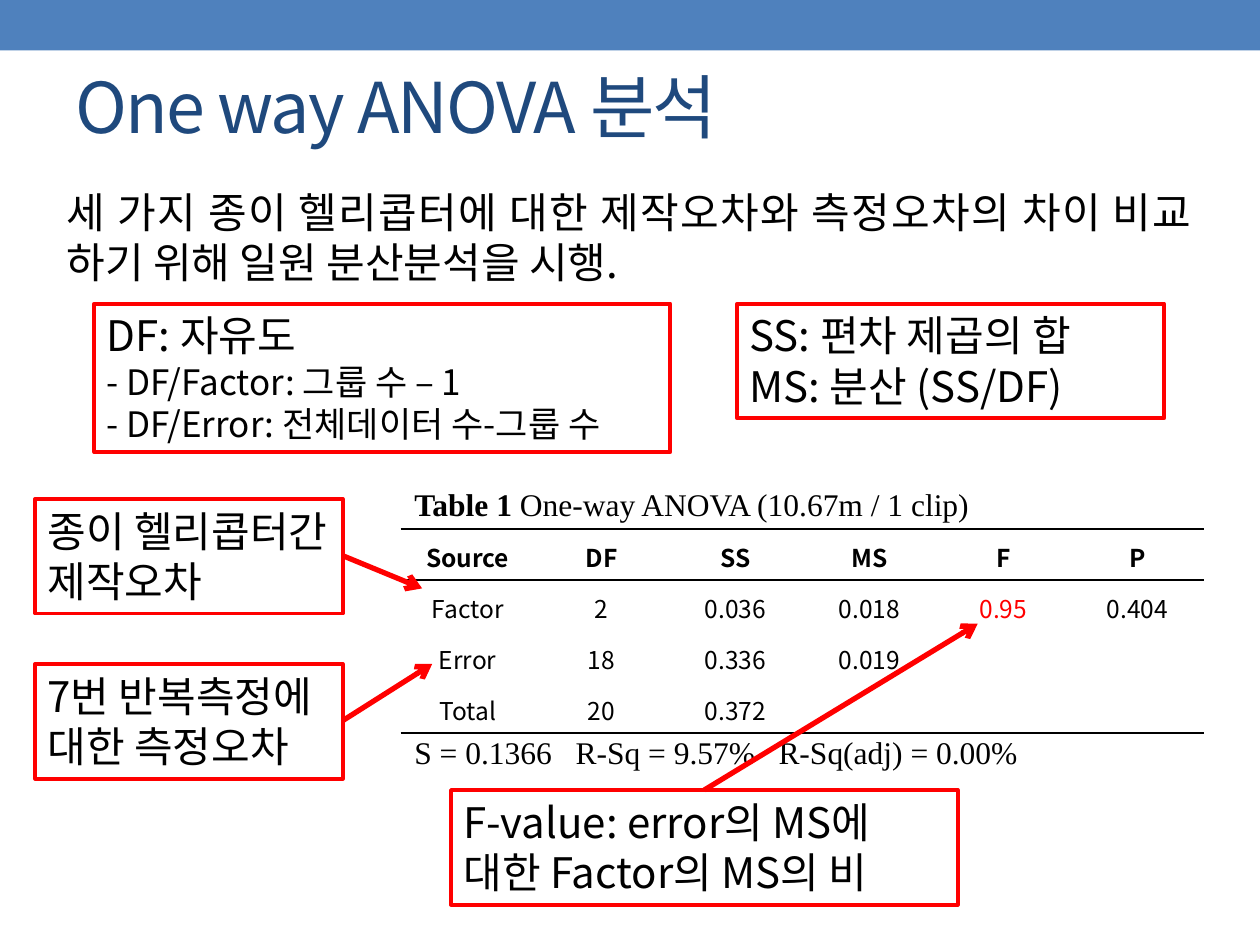
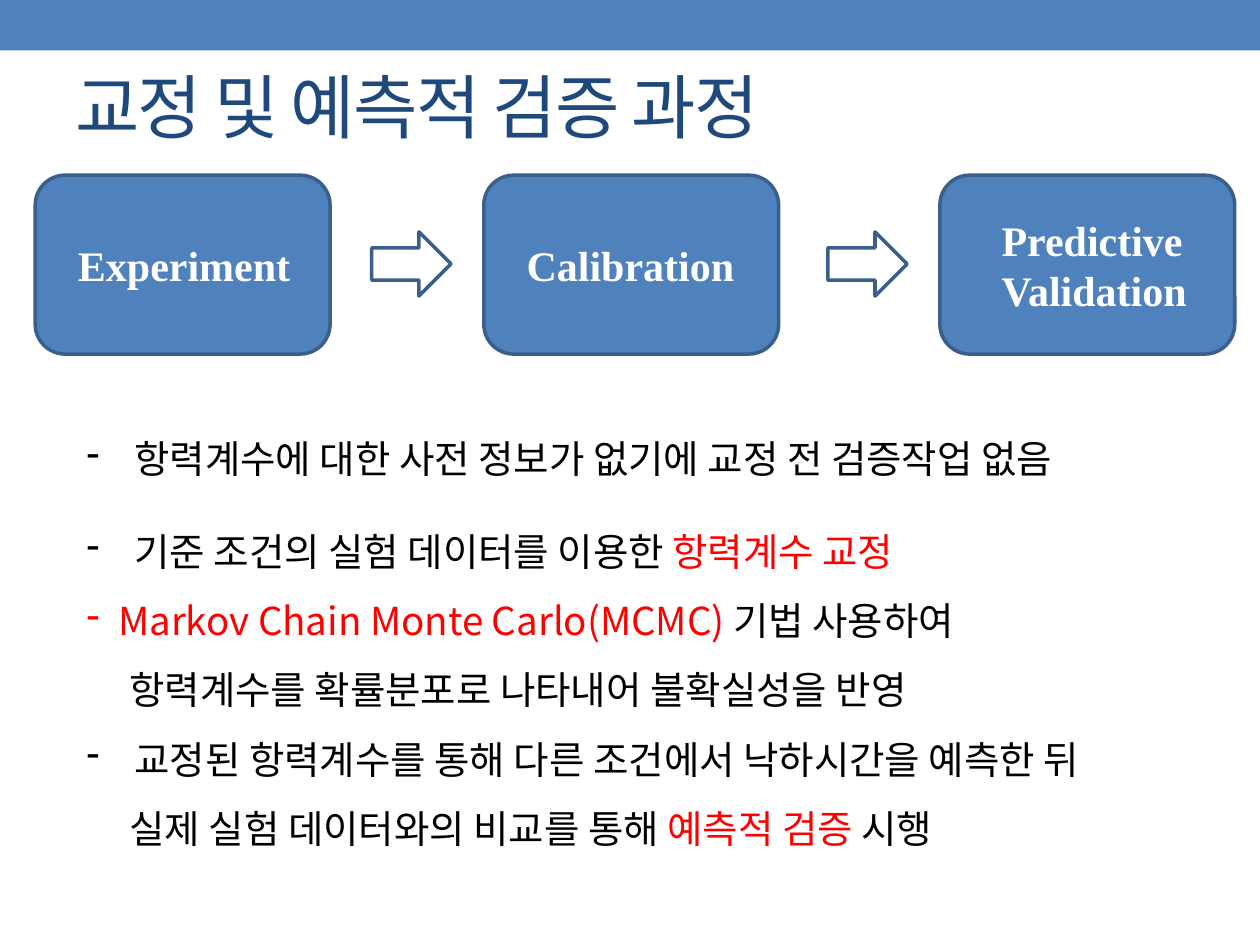
import pptx
import pptx.dml.color
import pptx.enum.shapes
import pptx.enum.text
import pptx.oxml.ns
import pptx.util
from lxml import etree

Inches = pptx.util.Inches
Pt = pptx.util.Pt
qn = pptx.oxml.ns.qn
Shape = pptx.enum.shapes.MSO_SHAPE
Align = pptx.enum.text.PP_ALIGN
Anchor = pptx.enum.text.MSO_ANCHOR

COLORS = {
    "band": "4F81BD",
    "title": "1F497D",
    "outline": "3A5F8C",
    "accent": "FF0000",
    "text": "000000",
    "white": "FFFFFF",
}
SANS = "Noto Sans CJK KR"
SERIF = "Times New Roman"
NO_STYLE = "{2D5ABB26-0587-4C30-8999-92F81FD0307C}"


def rgb(name):
    return pptx.dml.color.RGBColor.from_string(COLORS[name])


def add_span(para, text, size, color="text", font=SANS, bold=False, spacing=None):
    span = para.add_run()
    span.text = text
    span.font.size = Pt(size)
    span.font.name = font
    span.font.bold = bold
    span.font.color.rgb = rgb(color)
    properties = span.font._element
    etree.SubElement(properties, qn("a:ea")).set("typeface", font)
    if spacing is not None:
        properties.set("spc", str(spacing))


def next_para(frame, index):
    return frame.paragraphs[0] if index == 0 else frame.add_paragraph()


def add_text(page, left, top, width, height):
    box = page.shapes.add_textbox(
        Inches(left), Inches(top), Inches(width), Inches(height))
    box.text_frame.word_wrap = True
    return box.text_frame


def add_block(page, kind, left, top, width, height, fill=None, line=None, weight=2):
    block = page.shapes.add_shape(
        kind, Inches(left), Inches(top), Inches(width), Inches(height))
    block.shadow.inherit = False
    if fill:
        block.fill.solid()
        block.fill.fore_color.rgb = rgb(fill)
    else:
        block.fill.background()
    if line:
        block.line.color.rgb = rgb(line)
        block.line.width = Pt(weight)
    else:
        block.line.fill.background()
    return block


def add_page(deck, title):
    """Page with the top band and the title."""
    page = deck.slides.add_slide(deck.slide_layouts[6])
    add_block(page, Shape.RECTANGLE, 0, 0, 10, 0.4, fill="band")
    frame = add_text(page, 0.5, 0.3, 9, 1.08)
    frame.vertical_anchor = Anchor.MIDDLE
    add_span(frame.paragraphs[0], title, 40, "title", spacing=-100)
    return page


def add_callout(page, left, top, width, height, lines):
    """Red framed note; lines are (text, size) pairs."""
    callout = add_block(page, Shape.RECTANGLE, left, top, width, height,
                        line="accent", weight=2.25)
    frame = callout.text_frame
    frame.word_wrap = True
    frame.vertical_anchor = Anchor.TOP
    for index, (text, size) in enumerate(lines):
        para = next_para(frame, index)
        para.alignment = Align.LEFT
        add_span(para, text, size)


def add_arrow(page, start, end):
    arrow = page.shapes.add_connector(
        pptx.enum.shapes.MSO_CONNECTOR.STRAIGHT,
        *(Inches(value) for value in start + end))
    arrow.line.color.rgb = rgb("accent")
    arrow.line.width = Pt(3)
    etree.SubElement(arrow.line._get_or_add_ln(), qn("a:tailEnd")).set("type", "arrow")
    etree.SubElement(arrow._element.spPr, qn("a:effectLst"))


def add_border(cell, side):
    line = etree.Element(qn("a:" + side), w=str(Pt(1)))
    fill = etree.SubElement(line, qn("a:solidFill"))
    etree.SubElement(fill, qn("a:srgbClr")).set("val", COLORS["text"])
    properties = cell._tc.get_or_add_tcPr()
    borders = properties.findall(qn("a:lnT"))
    properties.insert(len(borders), line)


def add_anova_table(page, rows, highlight):
    column_count = len(rows[0])
    frame = page.shapes.add_table(
        len(rows), column_count,
        Inches(3.18), Inches(4.2), Inches(6.38), Inches(1.62))
    table = frame.table
    table.first_row = table.horz_banding = False
    table._tbl.tblPr.find(qn("a:tableStyleId")).text = NO_STYLE
    for r, values in enumerate(rows):
        for c in range(column_count):
            cell = table.cell(r, c)
            cell.fill.background()
            cell.vertical_anchor = Anchor.MIDDLE
            cell.margin_left = cell.margin_right = 0
            cell.margin_top = cell.margin_bottom = 0
            if r == 0:
                add_border(cell, "lnT")
            if r in (0, len(rows) - 1):
                add_border(cell, "lnB")
            if c < len(values):
                para = cell.text_frame.paragraphs[0]
                para.alignment = Align.CENTER
                para.line_spacing = 1.1
                color = "accent" if (r, c) == highlight else "text"
                add_span(para, values[c], 14, color, bold=r == 0)


def add_tab_stops(para, positions):
    stops = etree.SubElement(para._p.get_or_add_pPr(), qn("a:tabLst"))
    for position in positions:
        etree.SubElement(stops, qn("a:tab"), pos=str(Inches(position)), algn="l")


def add_points(page, points):
    """List of (line spacing, indent, has dash, spans)."""
    frame = add_text(page, 0.59, 3.04, 8.9, 3.8)
    for index, (spacing, indent, dash, spans) in enumerate(points):
        para = next_para(frame, index)
        para.line_spacing = spacing
        properties = para._p.get_or_add_pPr()
        properties.set("marL", str(Inches(indent)))
        properties.set("indent", str(-Inches(indent) if dash else 0))
        if dash:
            etree.SubElement(properties, qn("a:buFontTx"))
            etree.SubElement(properties, qn("a:buChar")).set("char", "-")
        for text, color in spans:
            add_span(para, text, 22, color)


def add_step(page, left, lines, inset):
    step = add_block(page, Shape.ROUNDED_RECTANGLE, left, 1.39, 2.34, 1.42,
                     fill="band", line="outline")
    frame = step.text_frame
    frame.word_wrap = True
    frame.vertical_anchor = Anchor.MIDDLE
    frame.margin_left, frame.margin_right = Inches(inset), 0
    for index, text in enumerate(lines):
        para = next_para(frame, index)
        para.alignment = Align.LEFT
        add_span(para, text, 24, "white", SERIF, bold=True)


def build_anova(deck):
    page = add_page(deck, "One way ANOVA 분석")

    # Table with its caption and summary
    caption = add_text(page, 3.19, 3.8, 6.69, 0.4).paragraphs[0]
    add_span(caption, "Table 1 ", 18, font=SERIF, bold=True)
    add_span(caption, "One-way ANOVA (10.67m / 1 clip)", 18, font=SERIF)
    add_anova_table(page, [
        ["Source", "DF", "SS", "MS", "F", "P"],
        ["Factor", "2", "0.036", "0.018", "0.95", "0.404"],
        ["Error", "18", "0.336", "0.019"],
        ["Total", "20", "0.372"],
    ], highlight=(1, 4))
    summary = add_text(page, 3.19, 5.77, 6.69, 0.4).paragraphs[0]
    add_tab_stops(summary, [1.28, 2.89])
    add_span(summary, "S = 0.1366\tR-Sq = 9.57%\tR-Sq(adj) = 0.00%", 18, font=SERIF)

    # Introduction
    intro = add_text(page, 0.43, 1.43, 9.13, 0.91).paragraphs[0]
    intro.alignment = Align.JUSTIFY
    add_span(intro, "세 가지 종이 헬리콥터에 대한 제작오차와 측정오차의 차이 비교 "
                    "하기 위해 일원 분산분석을 시행.", 24)

    # Notes and the arrows to the table
    add_callout(page, 0.28, 3.96, 2.44, 0.91, [("종이 헬리콥터간 제작오차", 24)])
    add_callout(page, 0.28, 5.27, 2.44, 0.91, [("7번 반복측정에 대한 측정오차", 24)])
    add_callout(page, 3.58, 6.27, 4.02, 0.91,
                [("F-value: error의 MS에 대한 Factor의 MS의 비", 24)])
    add_arrow(page, (2.72, 4.41), (3.35, 4.67))
    add_arrow(page, (2.72, 5.72), (3.43, 5.27))
    add_arrow(page, (5.59, 6.27), (7.76, 4.95))
    add_callout(page, 0.75, 2.41, 4.57, 1.18, [
        ("DF: 자유도", 24),
        ("- DF/Factor: 그룹 수 – 1", 20),
        ("- DF/Error: 전체데이터 수-그룹 수", 20),
    ])
    add_callout(page, 5.85, 2.41, 3.39, 0.91,
                [("SS: 편차 제곱의 합", 24), ("MS: 분산 (SS/DF)", 24)])


def build_process(deck):
    page = add_page(deck, "교정 및 예측적 검증 과정")

    # Explanation
    add_points(page, [
        (2.0, 0.38, True,
         [("항력계수에 대한 사전 정보가 없기에 교정 전 검증작업 없음", "text")]),
        (2.0, 0.38, True,
         [("기준 조건의 실험 데이터를 이용한 ", "text"), ("항력계수 교정", "accent")]),
        (1.5, 0.25, True,
         [("Markov Chain Monte Carlo(MCMC) ", "accent"), ("기법 사용하여", "text")]),
        (1.5, 0.34, False,
         [("항력계수를 확률분포로 나타내어 불확실성을 반영", "text")]),
        (1.5, 0.38, True,
         [("교정된 항력계수를 통해 다른 조건에서 낙하시간을 예측한 뒤", "text")]),
        (1.5, 0.34, False,
         [("실제 실험 데이터와의 비교를 통해 ", "text"),
          ("예측적 검증 ", "accent"), ("시행", "text")]),
    ])

    # Process steps and the arrows between them
    add_step(page, 0.28, ["Experiment"], 0.27)
    add_step(page, 3.84, ["Calibration"], 0.27)
    add_step(page, 7.46, ["Predictive", "Validation"], 0.42)
    for left in (2.95, 6.57):
        add_block(page, Shape.RIGHT_ARROW, left, 1.84, 0.63, 0.51,
                  fill="white", line="outline")


def main():
    deck = pptx.Presentation()
    deck.slide_width, deck.slide_height = Inches(10), Inches(7.5)
    build_anova(deck)
    build_process(deck)
    deck.save("out.pptx")


if __name__ == "__main__":
    main()
